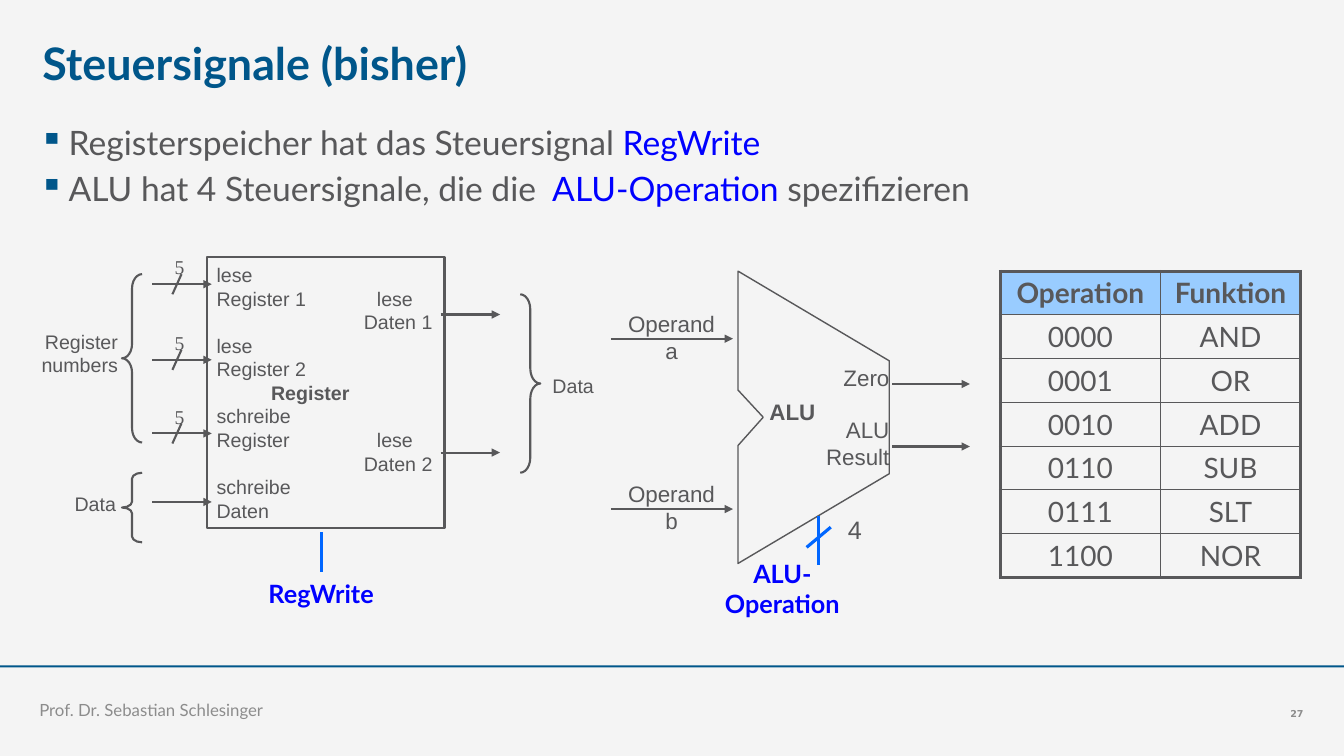
from dataclasses import dataclass

import pptx
import pptx.dml.color
import pptx.enum.shapes
import pptx.enum.text
import pptx.oxml
import pptx.oxml.ns
import pptx.util
from pptx.util import Inches

ALIGN = pptx.enum.text.PP_ALIGN
ANCHOR = pptx.enum.text.MSO_ANCHOR
SHAPE = pptx.enum.shapes.MSO_SHAPE


@dataclass(frozen=True)
class Theme:
    background: str = "F4F4F4"
    accent: str = "00568A"
    ink: str = "58585A"
    muted: str = "8C8C8C"
    signal_text: str = "0000FF"
    signal_line: str = "0066FF"
    header: str = "99CCFF"
    heading_font: str = "Lato"
    diagram_font: str = "Arial"
    title_size: float = 32
    body_size: float = 24
    table_size: float = 20
    signal_size: float = 18
    alu_size: float = 16
    register_size: float = 14
    footer_size: float = 12
    number_size: float = 6.8
    thin: float = 1
    line: float = 1.5
    thick: float = 2.25


THEME = Theme()


@dataclass(frozen=True)
class Label:
    text: str
    left: float
    top: float
    width: float
    height: float
    size: float
    font: str = THEME.diagram_font
    color: str = THEME.ink
    bold: bool = False
    align: ALIGN = ALIGN.CENTER
    anchor: ANCHOR = ANCHOR.MIDDLE
    wrap: bool = False
    inset: bool = True


@dataclass(frozen=True)
class Line:
    start: tuple[float, float]
    end: tuple[float, float]
    arrow: bool = False
    color: str = THEME.ink
    weight: float = THEME.line


@dataclass(frozen=True)
class Brace:
    kind: SHAPE
    left: float
    top: float
    height: float
    curl: float


REGISTER_LINES = (
    ("lese", None), ("Register 1\tlese", 1.59), ("\tDaten 1", 1.46),
    ("lese", None), ("Register 2", None), ("\tRegister", 0.54),
    ("schreibe", None), ("Register\tlese", 1.59), ("\tDaten 2", 1.46),
    ("schreibe", None), ("Daten", None),
)
BUS_ROWS = (2.82, 3.57, 4.3)
OPERANDS = (("a", 3.36), ("b", 5.05))
BULLETS = (
    (("Registerspeicher hat das Steuersignal ", False), ("RegWrite", True)),
    (("ALU hat 4 Steuersignale, die die ", False), (" ALU-Operation", True),
     (" spezifizieren", False)),
)
OPERATIONS = (
    ("Operation", "Funktion"), ("0000", "AND"), ("0001", "OR"), ("0010", "ADD"),
    ("0110", "SUB"), ("0111", "SLT"), ("1100", "NOR"),
)
ALU_OUTLINE = ((7.32, 2.69), (7.32, 3.87), (7.57, 4.14), (7.32, 4.42),
               (7.32, 5.59), (8.82, 4.7), (8.82, 3.58))
BRACES = (
    Brace(SHAPE.RIGHT_BRACE, 5.16, 2.92, 1.77, 0.75),
    Brace(SHAPE.LEFT_BRACE, 1.21, 2.72, 1.67, 0.71),
    Brace(SHAPE.LEFT_BRACE, 1.21, 4.69, 0.69, 0.29),
)
LINES = (
    *(Line((1.51, y), (2.1, y), True) for y in (*BUS_ROWS, 4.98)),
    *(Line((1.8, y - 0.1), (1.71, y + 0.1)) for y in BUS_ROWS),
    *(Line((4.37, y), (4.96, y), True) for y in (3.12, 4.49)),
    *(Line((6.06, y), (7.27, y), True) for _, y in OPERANDS),
    *(Line((8.85, y), (9.62, y), True) for y in (3.81, 4.43)),
    *(Line(start, end, False, THEME.signal_line, THEME.thick) for start, end in (
        ((3.19, 5.28), (3.19, 5.67)), ((8.12, 5.12), (8.12, 5.61)), ((8, 5.43), (8.24, 5.23)))),
)
LABELS = (
    Label("Steuersignale (bisher)", 0.42, 0.35, 8.33, 0.63, THEME.title_size, THEME.heading_font,
          THEME.accent, True, ALIGN.LEFT, ANCHOR.TOP, True, False),
    Label("Prof. Dr. Sebastian Schlesinger", 0.39, 6.75, 9.2, 0.39, THEME.footer_size,
          THEME.heading_font, THEME.muted, False, ALIGN.LEFT, ANCHOR.BOTTOM, True, False),
    Label("27", 12.03, 6.75, 0.9, 0.39, THEME.number_size, "DejaVu Sans",
          THEME.muted, True, ALIGN.RIGHT, ANCHOR.BOTTOM, True, False),
    *(Label("5", 1.63, y - 0.34, 0.3, 0.34, THEME.register_size, "Times New Roman")
      for y in BUS_ROWS),
    Label("RegWrite", 2.56, 5.69, 1.25, 0.4, THEME.signal_size, THEME.heading_font,
          THEME.signal_text, True),
    Label("ALU-Operation", 7.06, 5.5, 1.4, 0.68, THEME.signal_size, THEME.heading_font,
          THEME.signal_text, True, wrap=True),
    Label("Register\nnumbers", 0.31, 3.22, 0.96, 0.57, THEME.register_size, align=ALIGN.RIGHT),
    Label("Data", 0.64, 4.83, 0.61, 0.34, THEME.register_size),
    Label("Data", 5.38, 3.66, 0.61, 0.34, THEME.register_size),
    *(Label(f"Operand\n{name}", 6.09, y - 0.34, 1.14, 0.64, THEME.alu_size)
      for name, y in OPERANDS),
    Label("4", 8.31, 5.05, 0.34, 0.4, THEME.signal_size),
    Label("ALU", 7.53, 3.9, 0.66, 0.37, THEME.alu_size, bold=True),
    Label("Zero", 8.08, 3.56, 0.84, 0.37, THEME.alu_size, align=ALIGN.RIGHT),
    Label("ALU\nResult", 8.08, 4.08, 0.84, 0.64, THEME.alu_size, align=ALIGN.RIGHT),
)


def rgb(color: str) -> pptx.dml.color.RGBColor:
    return pptx.dml.color.RGBColor.from_string(color)


def append_xml(parent, xml: str) -> None:
    head, tail = xml.split(" ", 1)
    parent.append(pptx.oxml.parse_xml(f"{head} {pptx.oxml.ns.nsdecls('a')} {tail}"))


def style_font(font, name: str, size: float, color: str, bold: bool = False) -> None:
    font.name, font.size, font.bold = name, pptx.util.Pt(size), bold
    font.color.rgb = rgb(color)


def style_outline(shape, weight: float) -> None:
    shape.shadow.inherit = False
    shape.line.color.rgb = rgb(THEME.ink)
    shape.line.width = pptx.util.Pt(weight)


def draw_label(slide, label: Label) -> None:
    box = slide.shapes.add_textbox(*map(Inches, (label.left, label.top, label.width, label.height)))
    frame = box.text_frame
    frame.word_wrap, frame.vertical_anchor = label.wrap, label.anchor
    if not label.inset:
        frame.margin_left = frame.margin_right = frame.margin_top = frame.margin_bottom = 0
    frame.text = label.text
    for paragraph in frame.paragraphs:
        paragraph.alignment = label.align
        if label.font == THEME.diagram_font:
            paragraph.line_spacing = pptx.util.Pt(label.size * 1.2)
        for run in paragraph.runs:
            style_font(run.font, label.font, label.size, label.color, label.bold)


def draw_line(slide, line: Line) -> None:
    connector = slide.shapes.add_connector(
        pptx.enum.shapes.MSO_CONNECTOR.STRAIGHT, *map(Inches, (*line.start, *line.end)))
    connector.line.color.rgb = rgb(line.color)
    connector.line.width = pptx.util.Pt(line.weight)
    if line.arrow:
        append_xml(connector.line._get_or_add_ln(), '<a:tailEnd type="triangle"/>')
    append_xml(connector._element.spPr, "<a:effectLst />")


def draw_brace(slide, brace: Brace) -> None:
    shape = slide.shapes.add_shape(
        brace.kind, *map(Inches, (brace.left, brace.top, 0.2, brace.height)))
    shape.adjustments[0] = brace.curl
    shape.fill.background()
    style_outline(shape, THEME.line)


def draw_bullets(slide) -> None:
    frame = slide.shapes.add_textbox(*map(Inches, (0.39, 1.18, 11.58, 5.37))).text_frame
    frame.word_wrap = True
    frame.margin_left = frame.margin_right = frame.margin_top = frame.margin_bottom = 0
    for index, parts in enumerate(BULLETS):
        paragraph = frame.add_paragraph() if index else frame.paragraphs[0]
        paragraph.line_spacing = 1.08
        if index:
            paragraph.space_before = pptx.util.Pt(1.7)
        properties = paragraph._p.get_or_add_pPr()
        properties.set("marL", str(Inches(0.29)))
        properties.set("indent", str(-Inches(0.29)))
        append_xml(properties, f'<a:buClr ><a:srgbClr val="{THEME.accent}"/></a:buClr>')
        append_xml(properties, '<a:buChar char="▪"/>')
        for text, is_signal in parts:
            run = paragraph.add_run()
            run.text = text
            style_font(run.font, THEME.heading_font, THEME.body_size,
                       THEME.signal_text if is_signal else THEME.ink)


def draw_register_file(slide) -> None:
    shape = slide.shapes.add_shape(SHAPE.RECTANGLE, *map(Inches, (2.05, 2.55, 2.36, 2.69)))
    shape.fill.background()
    style_outline(shape, THEME.line)
    frame = shape.text_frame
    frame.word_wrap, frame.vertical_anchor = True, ANCHOR.MIDDLE
    frame.text = "\n".join(text for text, _ in REGISTER_LINES)
    for paragraph, (text, tab) in zip(frame.paragraphs, REGISTER_LINES):
        paragraph.alignment = ALIGN.LEFT
        paragraph.line_spacing = pptx.util.Pt(THEME.register_size * 1.2)
        if tab:
            append_xml(paragraph._p.get_or_add_pPr(),
                       f'<a:tabLst ><a:tab pos="{Inches(tab)}" algn="l"/></a:tabLst>')
        for run in paragraph.runs:
            style_font(run.font, THEME.diagram_font, THEME.register_size, THEME.ink,
                       text == "\tRegister")


def draw_alu(slide) -> None:
    points = [(Inches(x), Inches(y)) for x, y in ALU_OUTLINE]
    builder = slide.shapes.build_freeform(*points[0])
    builder.add_line_segments(points[1:], close=True)
    shape = builder.convert_to_shape()
    shape.fill.solid()
    shape.fill.fore_color.rgb = rgb(THEME.background)
    style_outline(shape, THEME.thin)


def draw_operations(slide) -> None:
    rows, columns = len(OPERATIONS), len(OPERATIONS[0])
    table = slide.shapes.add_table(
        rows, columns, *map(Inches, (9.92, 2.69, 2.98, 3.03))).table
    table.first_row = table.horz_banding = False
    for column, width in zip(table.columns, (1.59, 1.39)):
        column.width = Inches(width)
    for row_index, values in enumerate(OPERATIONS):
        for column_index, value in enumerate(values):
            cell = table.cell(row_index, column_index)
            cell.margin_left = cell.margin_right = 0
            outer_sides = {"L": column_index == 0, "R": column_index == columns - 1,
                           "T": row_index == 0, "B": row_index == rows - 1}
            for side, is_outer in outer_sides.items():
                width = pptx.util.Pt(THEME.thick if is_outer else THEME.thin)
                append_xml(cell._tc.get_or_add_tcPr(), f'<a:ln{side} w="{width}"><a:solidFill>'
                           f'<a:srgbClr val="{THEME.ink}"/></a:solidFill></a:ln{side}>')
            if row_index == 0:
                cell.fill.solid()
                cell.fill.fore_color.rgb = rgb(THEME.header)
            else:
                cell.fill.background()
            cell.text_frame.text = value
            paragraph = cell.text_frame.paragraphs[0]
            paragraph.alignment = ALIGN.CENTER
            style_font(paragraph.runs[0].font, THEME.heading_font, THEME.table_size,
                       THEME.ink, row_index == 0)


def main() -> None:
    presentation = pptx.Presentation()
    presentation.slide_width, presentation.slide_height = Inches(13.33), Inches(7.5)
    slide = presentation.slides.add_slide(presentation.slide_layouts[6])
    slide.background.fill.solid()
    slide.background.fill.fore_color.rgb = rgb(THEME.background)
    rule = slide.shapes.add_shape(SHAPE.RECTANGLE, *map(Inches, (0, 6.6, 13.33, 0.02)))
    rule.shadow.inherit = False
    rule.fill.solid()
    rule.fill.fore_color.rgb = rgb(THEME.accent)
    rule.line.fill.background()
    draw_bullets(slide)
    draw_register_file(slide)
    draw_alu(slide)
    for brace in BRACES:
        draw_brace(slide, brace)
    for line in LINES:
        draw_line(slide, line)
    for label in LABELS:
        draw_label(slide, label)
    draw_operations(slide)
    presentation.save("out.pptx")


if __name__ == "__main__":
    main()
